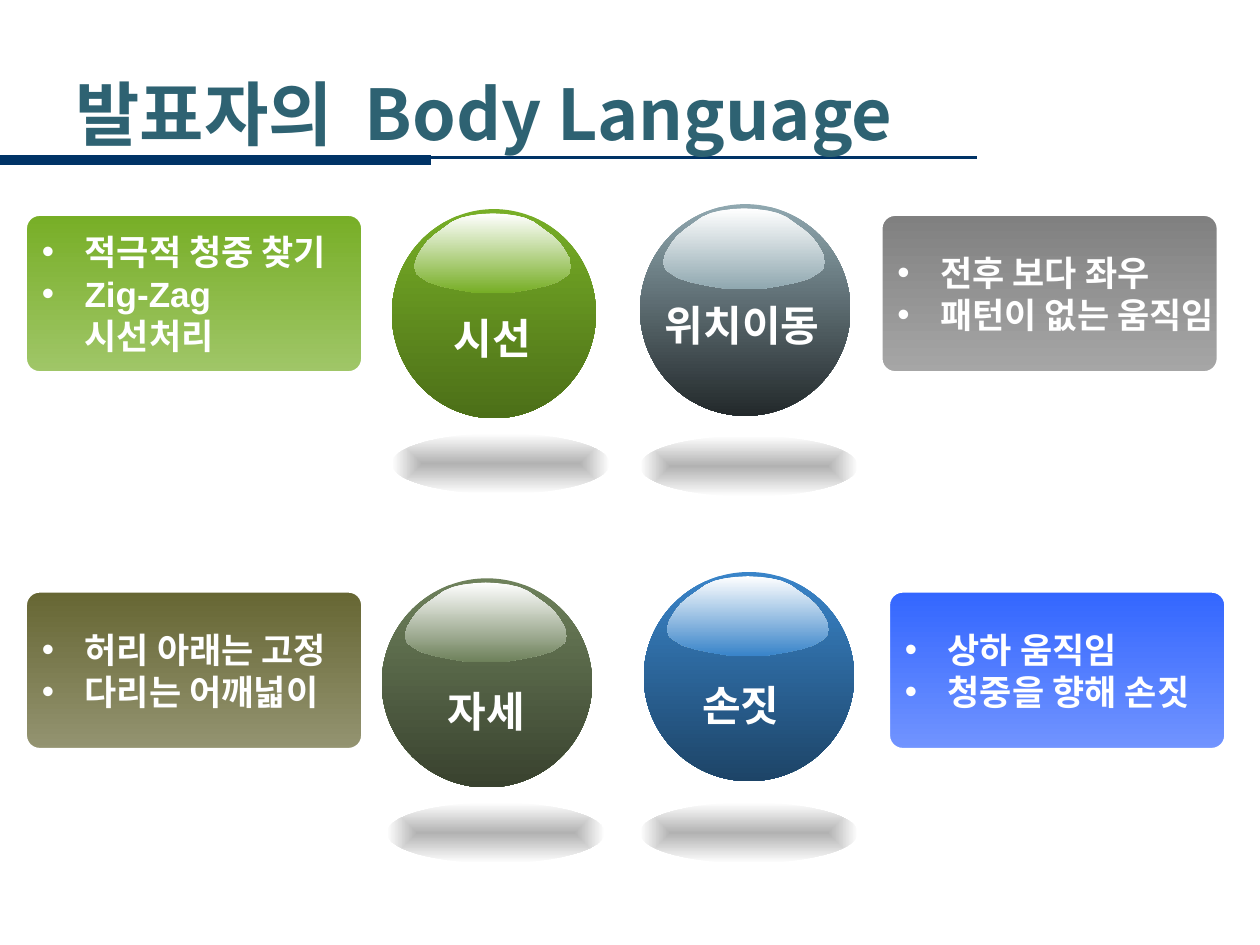
"""Build a slide on a presenter's body language: four glossy orbs with notes beside them."""
from dataclasses import dataclass

from lxml import etree
from pptx import Presentation
from pptx.dml.color import RGBColor
from pptx.enum.shapes import MSO_CONNECTOR, MSO_SHAPE
from pptx.enum.text import MSO_ANCHOR, MSO_AUTO_SIZE, PP_ALIGN
from pptx.oxml.ns import qn
from pptx.util import Inches, Pt

OVAL, ROUNDED = MSO_SHAPE.OVAL, MSO_SHAPE.ROUNDED_RECTANGLE
STRAIGHT = MSO_CONNECTOR.STRAIGHT
MIDDLE, CENTER, LEFT = MSO_ANCHOR.MIDDLE, PP_ALIGN.CENTER, PP_ALIGN.LEFT
NO_FIT = MSO_AUTO_SIZE.NONE

WIDTH, HEIGHT = Inches(10), Inches(7.5)
COLUMNS, ROWS = 100, 75
TITLE_ONLY = 5
GLOSS_PROFILE = (
    (0, 0), (0.16, 0.01), (0.29, 0.03), (0.41, 0.06), (0.52, 0.11), (0.63, 0.19),
    (0.74, 0.27), (0.83, 0.35), (0.9, 0.44), (0.97, 0.56), (1, 0.67), (0.97, 0.76),
    (0.92, 0.8), (0.81, 0.87), (0.65, 0.92), (0.46, 0.96), (0.22, 1),
)


@dataclass(frozen=True)
class Theme:
    """Colours, fonts and type sizes of the slide."""
    title: str = "2E6272"
    rule: str = "003366"
    white: str = "FFFFFF"
    shade: str = "B2B2B2"
    latin: str = "Arial"
    korean: str = "Noto Sans CJK KR"
    title_size: int = 40
    label_size: int = 24
    note_size: int = 20


@dataclass(frozen=True)
class Area:
    """A rectangle in grid columns and rows."""
    left: float
    top: float
    width: float
    height: float

    def lengths(self) -> tuple:
        """Return left, top, width and height in slide units."""
        return (across(self.left), down(self.top), across(self.width), down(self.height))

    def inner(self, left: float, top: float, width: float, height: float) -> "Area":
        """Return the area covering the given shares of this one."""
        return Area(self.left + left * self.width, self.top + top * self.height,
                    width * self.width, height * self.height)


@dataclass(frozen=True)
class Orb:
    """A labelled ball, its floor shadow and its label's centre."""
    label: str
    ball: Area
    center: tuple
    floor: tuple
    colors: tuple


@dataclass(frozen=True)
class Note:
    """A rounded panel with a bulleted list."""
    left: float
    top: float
    colors: tuple
    lines: tuple


THEME = Theme()
ORBS = (
    Orb("시선", Area(31.1, 16.6, 16.2, 16.6), (39.1, 26.8), (31.1, 34.4), ("77AE26", "4C6F18")),
    Orb("자세", Area(30.3, 45.9, 16.7, 16.6), (38.6, 56.4), (30.7, 63.7), ("6E815B", "39422F")),
    Orb("손짓", Area(51.1, 45.4, 16.7, 16.6), (58.8, 55.9), (50.8, 63.7), ("3984C9", "1D4467")),
    Orb("위치이동", Area(50.8, 16.2, 16.7, 16.8), (58.9, 25.8), (50.8, 34.6), ("90A8B0", "23292B")),
)
NOTES = (
    Note(2, 17, ("77AE26", "A0C668"), ("적극적 청중 찾기", "Zig-Zag  시선처리")),
    Note(69.9, 17, ("808080", "A6A6A6"), ("전후 보다 좌우", "패턴이 없는 움직임")),
    Note(70.5, 46.9, ("3366FF", "7194FF"), ("상하 움직임", "청중을 향해 손짓")),
    Note(2, 46.9, ("666633", "949471"), ("허리 아래는 고정", "다리는 어깨넓이")),
)


def across(columns: float) -> int:
    """Turn grid columns into a length."""
    return round(WIDTH * columns / COLUMNS)


def down(rows: float) -> int:
    """Turn grid rows into a length."""
    return round(HEIGHT * rows / ROWS)


def add_span(para, text: str, size: int, color: str, font: str) -> None:
    """Add one bold run with Latin and Korean fonts."""
    span = para.add_run()
    span.text = text
    span.font.size, span.font.bold = Pt(size), True
    span.font.color.rgb = RGBColor.from_string(color)
    span.font.name = font
    properties = span._r.get_or_add_rPr()
    etree.SubElement(properties, qn("a:ea"), typeface=THEME.korean)


def paint(shape, colors: tuple) -> None:
    """Fill a shape from top to bottom and drop its outline and shadow."""
    shape.shadow.inherit = False
    shape.line.fill.background()
    shape.fill.gradient()
    shape.fill.gradient_angle = 270
    for stop, color in zip(shape.fill.gradient_stops, colors):
        stop.color.rgb = RGBColor.from_string(color)


def center_gradient(shape) -> None:
    """Make a shape's gradient spread from its centre."""
    linear = shape._element.spPr.find(qn("a:gradFill")).find(qn("a:lin"))
    spread = etree.Element(qn("a:path"), {"path": "rect"})
    etree.SubElement(spread, qn("a:fillToRect"), dict.fromkeys("ltrb", "50000"))
    linear.getparent().replace(linear, spread)


def draw_gloss(group, area: Area, color: str) -> None:
    """Draw the symmetric highlight on a ball."""
    left, top, width, height = area.lengths()
    mirrored = [(-x, y) for x, y in reversed(GLOSS_PROFILE[1:])]
    points = [(round(left + width * (1 + x) / 2), round(top + height * y))
              for x, y in (*GLOSS_PROFILE, *mirrored)]
    builder = group.shapes.build_freeform(*points[0])
    builder.add_line_segments(points[1:], close=True)
    paint(builder.convert_to_shape(), (THEME.white, color))


def draw_orb(page, orb: Orb) -> None:
    """Draw a ball with highlight, label and floor shadow as one group."""
    group = page.shapes.add_group_shape()
    paint(group.shapes.add_shape(OVAL, *orb.ball.lengths()), orb.colors)
    draw_gloss(group, orb.ball.inner(0.11, 0.02, 0.77, 0.38), orb.colors[0])
    middle, level = orb.center
    box = group.shapes.add_textbox(*Area(middle - 7.5, level - 2.5, 15, 5).lengths())
    box.text_frame.word_wrap = True
    para = box.text_frame.paragraphs[0]
    para.alignment = CENTER
    add_span(para, orb.label, THEME.label_size, THEME.white, THEME.latin)
    floor = group.shapes.add_shape(OVAL, *Area(*orb.floor, 17.3, 4.8).lengths())
    paint(floor, (THEME.shade, THEME.white))
    center_gradient(floor)


def add_bullet(para) -> None:
    """Give a paragraph a white hanging bullet."""
    properties = para._p.get_or_add_pPr()
    properties.set("marL", str(across(3.4)))
    properties.set("indent", str(-across(3.4)))
    color = etree.SubElement(properties, qn("a:buClr"))
    etree.SubElement(color, qn("a:srgbClr"), val=THEME.white)
    etree.SubElement(properties, qn("a:buFont"), typeface=THEME.latin)
    etree.SubElement(properties, qn("a:buChar"), char="•")


def draw_note(page, note: Note) -> None:
    """Draw a panel with its bulleted lines."""
    box = page.shapes.add_shape(ROUNDED, *Area(note.left, note.top, 26.8, 12.6).lengths())
    box.adjustments[0] = 0.09
    paint(box, note.colors)
    box.line.color.rgb = RGBColor.from_string(THEME.white)
    box.line.width = Pt(2)
    frame = box.text_frame
    frame.word_wrap, frame.vertical_anchor, frame.margin_right = True, MIDDLE, 0
    for index, line in enumerate(note.lines):
        para = frame.add_paragraph() if index else frame.paragraphs[0]
        para.alignment = LEFT
        add_bullet(para)
        add_span(para, line, THEME.note_size, THEME.white, THEME.latin)


def draw_rule(page, end: float, level: float, weight: float) -> None:
    """Draw a rule from the left edge, behind the title."""
    rule = page.shapes.add_connector(STRAIGHT, 0, down(level), across(end), down(level))
    rule.line.color.rgb = RGBColor.from_string(THEME.rule)
    rule.line.width = Pt(weight)
    etree.SubElement(rule._element.spPr, qn("a:effectLst"))
    page.shapes.title._element.addprevious(rule._element)


def set_title(page, text: str) -> None:
    """Place and format the title."""
    title = page.shapes.title
    title.left, title.top, title.width, title.height = Area(5, 5.8, 84.2, 6.2).lengths()
    frame = title.text_frame
    frame.auto_size, frame.vertical_anchor = NO_FIT, MIDDLE
    para = frame.paragraphs[0]
    para.alignment = LEFT
    add_span(para, text, THEME.title_size, THEME.title, THEME.korean)


def main() -> None:
    """Build and save the deck."""
    deck = Presentation()
    deck.slide_width, deck.slide_height = WIDTH, HEIGHT
    page = deck.slides.add_slide(deck.slide_layouts[TITLE_ONLY])
    set_title(page, "발표자의  Body Language")
    draw_rule(page, 77.5, 12.5, 1.5)
    draw_rule(page, 34.2, 12.7, 6)
    for orb in ORBS:
        draw_orb(page, orb)
    for note in NOTES:
        draw_note(page, note)
    deck.save("out.pptx")


if __name__ == "__main__":
    main()
